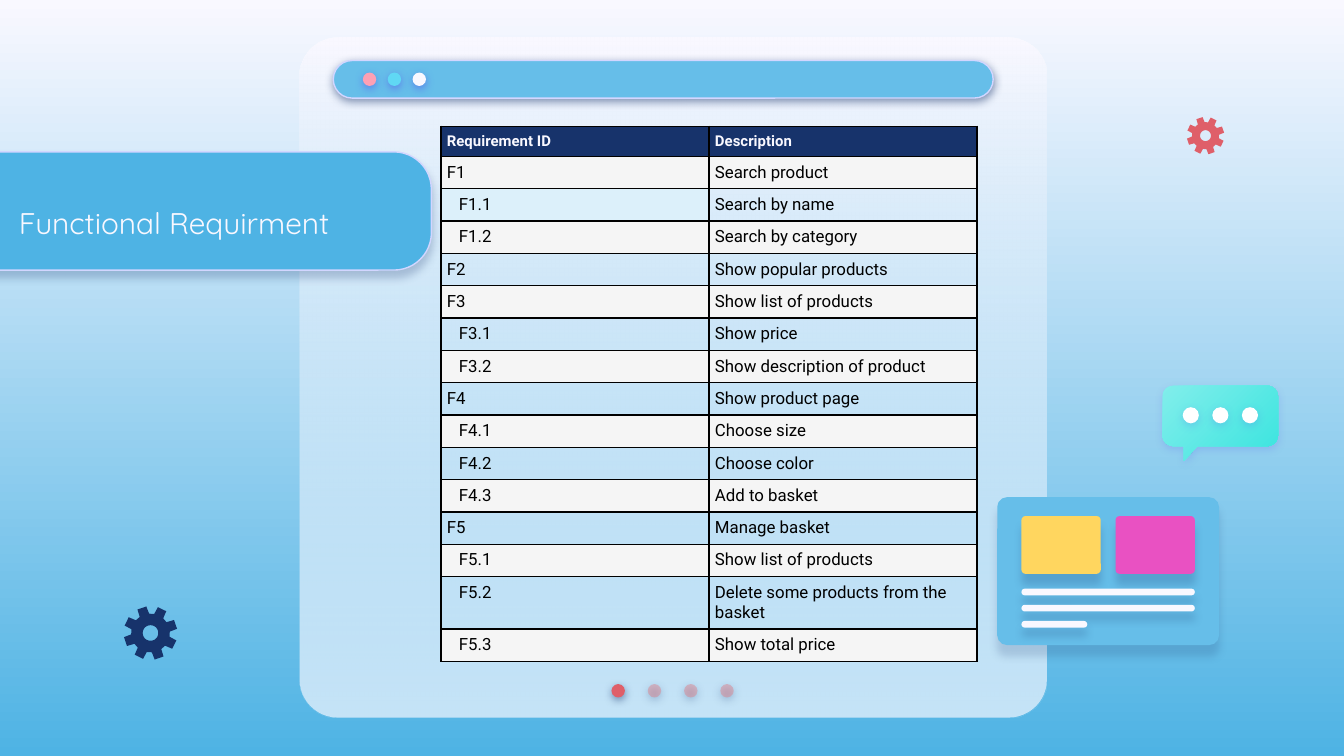
from math import cos, sin, radians
from lxml import etree
from pptx import Presentation
from pptx.dml.color import RGBColor
from pptx.enum.shapes import MSO_SHAPE
from pptx.enum.text import MSO_ANCHOR, PP_ALIGN
from pptx.oxml.ns import qn
from pptx.util import Inches, Pt

ROUND, OVAL = MSO_SHAPE.ROUNDED_RECTANGLE, MSO_SHAPE.OVAL
CENTER, MIDDLE = PP_ALIGN.CENTER, MSO_ANCHOR.MIDDLE
PALE, NAVY, BLUE, SKY = "F9F8FF", "17336B", "4EB3E4", "66BEE9"
RED, ROSE, VIOLET, LILAC = "DF5F69", "E27B83", "5352EE", "D2D6FF"
NO_STYLE = "{2D5ABB26-0587-4C30-8999-92F81FD0307C}"

# Content
TITLE = "Functional Requirment"
HEAD = ("Requirement ID", "Description")
NEEDS = [
    ("F1", "Search product"),
    ("F1.1", "Search by name"),
    ("F1.2", "Search by category"),
    ("F2", "Show popular products"),
    ("F3", "Show list of products"),
    ("F3.1", "Show price"),
    ("F3.2", "Show description of product"),
    ("F4", "Show product page"),
    ("F4.1", "Choose size"),
    ("F4.2", "Choose color"),
    ("F4.3", "Add to basket"),
    ("F5", "Manage basket"),
    ("F5.1", "Show list of products"),
    ("F5.2", "Delete some products from the basket"),
    ("F5.3", "Show total price"),
]
TINTS = {"F1.1": "DCF0FA"}  # ID cells with their own fill

prs = Presentation()
prs.slide_width = Inches(10)
prs.slide_height = prs.slide_width * 9 // 16
slide = prs.slides.add_slide(prs.slide_layouts[6])


def rgb(code):
    return RGBColor.from_string(code)


def add(parent, tag, **attrs):
    node = etree.SubElement(parent, qn(tag))
    for key, val in attrs.items():
        node.set(key, str(val))
    return node


def grade(fill, first, last, angle):
    fill.gradient()
    fill.gradient_angle = 360 - angle
    for stop, code in zip(fill.gradient_stops, (first, last)):
        stop.color.rgb = rgb(code)


def style(shape, fill, alpha=None, line=None, shadow=None):
    """fill is a hex or (first, last, angle); shadow is (hex, alpha, distance)."""
    shape.shadow.inherit = False
    props = shape._element.spPr
    if isinstance(fill, tuple):
        grade(shape.fill, *fill)
    else:
        shape.fill.solid()
        shape.fill.fore_color.rgb = rgb(fill)
    if alpha:
        add(props.findall(".//" + qn("a:srgbClr"))[-1], "a:alpha", val=alpha * 1000)
    if line:
        shape.line.color.rgb = rgb(line)
        shape.line.width = Pt(0.75)
    else:
        shape.line.fill.background()
    if shadow:
        code, dim, dist = shadow
        cast = add(props.find(qn("a:effectLst")), "a:outerShdw", blurRad=Pt(4.5),
                   dist=Pt(dist), dir=5400000, algn="bl", rotWithShape=0)
        add(add(cast, "a:srgbClr", val=code), "a:alpha", val=dim * 1000)


def block(kind, x, y, w, h, fill, adj=None, **look):
    shape = slide.shapes.add_shape(kind, Inches(x), Inches(y), Inches(w), Inches(h))
    if adj is not None:
        shape.adjustments[0] = adj
    style(shape, fill, **look)


def dots(x, y, size, step, fills, shadow):
    for i, (fill, alpha) in enumerate(fills):
        block(OVAL, x + i * step, y, size, size, fill, alpha=alpha, shadow=shadow)


def arc(x, y, r, start, stop, step=10):
    return [(x + r * cos(radians(a)), y + r * sin(radians(a)))
            for a in range(start, stop + 1, step)]


def outline(rings, fill, **look):
    pen = None
    for ring in rings:
        pts = [(Inches(x), Inches(y)) for x, y in ring]
        if pen is None:
            pen = slide.shapes.build_freeform(*pts[0])
        else:
            pen.move_to(*pts[0])
        pen.add_line_segments(pts[1:], close=True)
    style(pen.convert_to_shape(), fill, **look)


def gear(x, y, r, fill):
    rim = []
    for mid in range(26, 386, 45):
        for turn, size in ((-15, 0.72), (-10, 1), (10, 1), (15, 0.72)):
            a = radians(mid + turn)
            rim.append((x + r * size * cos(a), y + r * size * sin(a)))
    outline([rim, arc(x, y, r * 0.29, 0, 350)], fill)


def write(frame, text, size=9, font="Roboto", color="000000", bold=False,
          align=None, after=None, indent=0):
    frame.word_wrap = True
    para = frame.paragraphs[0]
    if align is not None:
        para.alignment = align
    if after:
        para.space_after = Pt(after)
    if indent:
        para._p.get_or_add_pPr().set("marL", str(Inches(indent)))
    run = para.add_run()
    run.text = text
    run.font.size, run.font.name, run.font.bold = Pt(size), font, bold
    run.font.color.rgb = rgb(color)


def border(cell):
    props = cell._tc.get_or_add_tcPr()
    for i, side in enumerate(("a:lnL", "a:lnR", "a:lnT", "a:lnB")):
        edge = etree.Element(qn(side), w=str(Pt(1)))
        add(add(edge, "a:solidFill"), "a:srgbClr", val="000000")
        props.insert(i, edge)


# Background and window panel
grade(slide.background.fill, PALE, BLUE, 90)
panel = (2.23, 0.28, 5.56, 5.06)
block(ROUND, *panel, PALE, adj=0.056)
block(ROUND, *panel, (PALE, SKY, 90), adj=0.056, alpha=35)

# Page dots, window bar and its buttons
deep, glow = (NAVY, 50, 1.5), (VIOLET, 50, 1.5)
dots(4.55, 5.09, 0.1, 0.27, [(RED, None)] + [(ROSE, 44)] * 3, deep)
block(ROUND, 2.48, 0.45, 4.91, 0.28, SKY, adj=0.5, line=LILAC, shadow=deep)
dots(2.7, 0.54, 0.1, 0.185, [("FDA0B4", None), ("60D8F4", None), (PALE, None)], glow)

# Title tab
block(ROUND, -0.57, 1.13, 3.78, 0.88, BLUE, adj=0.317, line=LILAC, shadow=(NAVY, 24, 3.8))
frame = slide.shapes.add_textbox(Inches(-0.21), Inches(1.36), Inches(3.01), Inches(0.59)).text_frame
frame.vertical_anchor = MIDDLE
frame.margin_top = frame.margin_bottom = Inches(0.1)
write(frame, TITLE, size=16, font="Quicksand", color=PALE, align=CENTER, after=12)

# Card with two tiles and three text bars
block(ROUND, 7.42, 3.7, 1.65, 1.1, SKY, adj=0.065, shadow=(NAVY, 17, 6))
for x, fill in ((7.6, "FFD65F"), (8.3, "E951C2")):
    block(ROUND, x, 3.84, 0.59, 0.43, fill, adj=0.07, shadow=(NAVY, 20, 6))
for i, width in enumerate((1.29, 1.29, 0.49)):
    block(ROUND, 7.6, 4.38 + i * 0.12, width, 0.05, PALE, adj=0.5, shadow=(NAVY, 21, 4.5))

# Speech bubble
soft = (VIOLET, 18, 1.5)
bubble = (arc(8.73, 2.95, 0.08, 180, 270) + arc(9.43, 2.95, 0.08, 270, 360)
          + arc(9.43, 3.24, 0.08, 0, 90) + [(8.91, 3.32), (8.81, 3.43), (8.81, 3.32)]
          + arc(8.73, 3.24, 0.08, 90, 180))
outline([bubble], ("81EEEB", "3AE4DF", 45), shadow=soft)
dots(8.8, 3.03, 0.12, 0.22, [("FFFFFF", None)] * 3, soft)

# Gears
gear(1.12, 4.71, 0.2, NAVY)
gear(8.97, 1.01, 0.14, RED)

# Requirements table; the rows grow to fit their text
rows = [HEAD] + NEEDS
table = slide.shapes.add_table(len(rows), 2, Inches(3.28), Inches(0.94),
                               Inches(3.99), Inches(0.15) * len(rows)).table
table._tbl.tblPr.find(qn("a:tableStyleId")).text = NO_STYLE
table.horz_banding = False
for i, row in enumerate(rows):
    for j, text in enumerate(row):
        cell = table.cell(i, j)
        cell.margin_left = cell.margin_right = Pt(3.25)
        cell.margin_top = cell.margin_bottom = Pt(3.25)
        fill = NAVY if i == 0 else "F5F5F5" if i % 2 else TINTS.get(text)
        if fill:
            cell.fill.solid()
            cell.fill.fore_color.rgb = rgb(fill)
        else:
            cell.fill.background()
        border(cell)
        if i == 0:
            write(cell.text_frame, text, size=8, color=PALE, bold=True)
        else:
            write(cell.text_frame, text, indent=0.09 if j == 0 and "." in text else 0)

prs.save("out.pptx")
